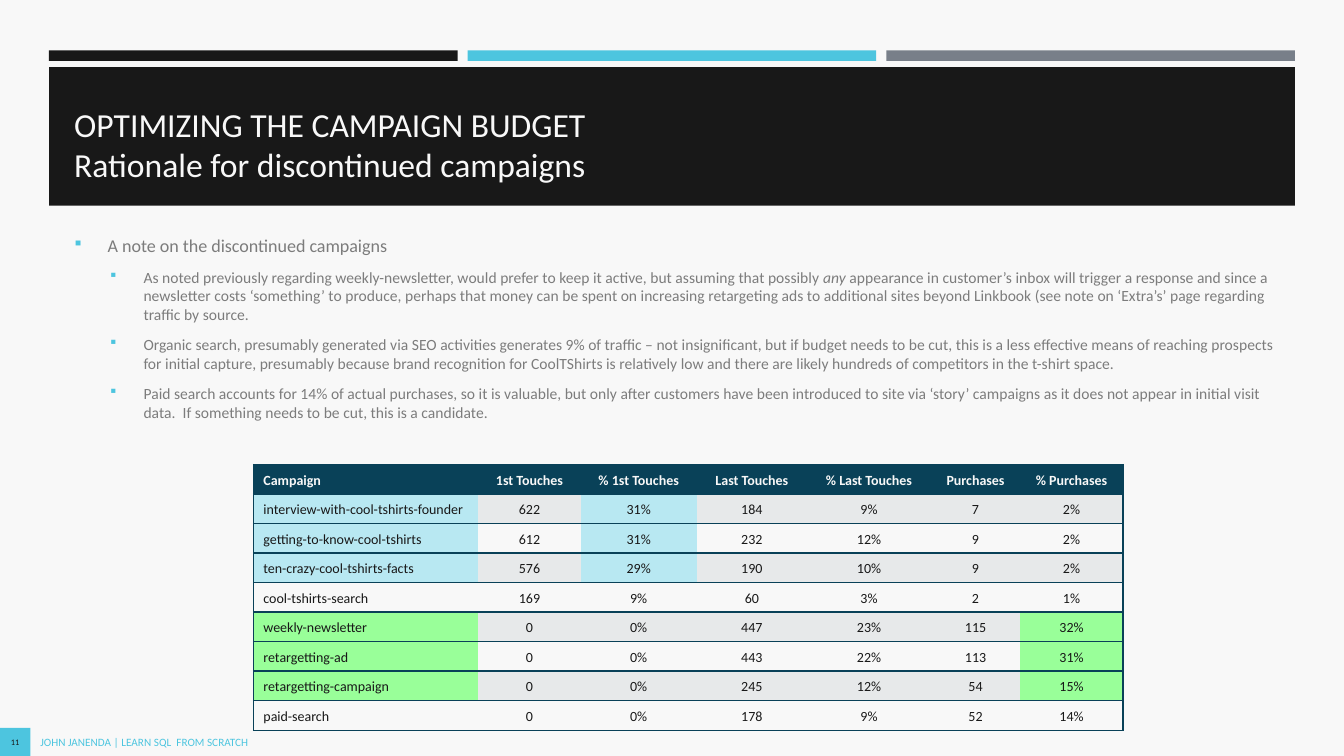
from lxml import etree
from pptx import Presentation
from pptx.dml.color import RGBColor
from pptx.enum.shapes import MSO_SHAPE
from pptx.enum.text import MSO_ANCHOR, MSO_AUTO_SIZE, PP_ALIGN
from pptx.oxml.ns import qn
from pptx.util import Pt

RECTANGLE = MSO_SHAPE.RECTANGLE
LEFT, CENTER = PP_ALIGN.LEFT, PP_ALIGN.CENTER
MIDDLE, BOTTOM = MSO_ANCHOR.MIDDLE, MSO_ANCHOR.BOTTOM
NO_AUTOFIT = MSO_AUTO_SIZE.NONE
TITLE_ONLY = 5
FONT = "Calibri"

COLORS = {
    "page": "F8F8F8", "black": "181818", "cyan": "4DC5DF", "slate": "787F89",
    "gray": "7C7C7C", "navy": "094158", "band": "E7E9EA",
    "first": "B8E8F2", "purchase": "99FF99",
}

TITLE_LINES = ["OPTIMIZING THE CAMPAIGN BUDGET", "Rationale for discontinued campaigns"]

# Each note: indent level, then its runs as (text, italic)
NOTES = [
    (0, [("A note on the discontinued campaigns", False)]),
    (1, [
        ("As noted previously regarding weekly-newsletter, would prefer to keep it active, "
         "but assuming that possibly ", False),
        ("any", True),
        (" appearance in customer’s inbox will trigger a response and since a newsletter "
         "costs ‘something’ to produce, perhaps that money can be spent on increasing "
         "retargeting ads to additional sites beyond Linkbook (see note on ‘Extra’s’ page "
         "regarding traffic by source.", False),
    ]),
    (1, [("Organic search, presumably generated via SEO activities generates 9% of traffic – "
          "not insignificant, but if budget needs to be cut, this is a less effective means of "
          "reaching prospects for initial capture, presumably because brand recognition for "
          "CoolTShirts is relatively low and there are likely hundreds of competitors in the "
          "t-shirt space.", False)]),
    (1, [("Paid search accounts for 14% of actual purchases, so it is valuable, but only after "
          "customers have been introduced to site via ‘story’ campaigns as it does not appear "
          "in initial visit data.  If something needs to be cut, this is a candidate.", False)]),
]
NOTE_SIZES = [12.9, 11.1]
NOTE_INDENTS = [23.9, 49.5]

CAMPAIGNS = [
    ["Campaign", "1st Touches", "% 1st Touches", "Last Touches", "% Last Touches",
     "Purchases", "% Purchases"],
    ["interview-with-cool-tshirts-founder", "622", "31%", "184", "9%", "7", "2%"],
    ["getting-to-know-cool-tshirts", "612", "31%", "232", "12%", "9", "2%"],
    ["ten-crazy-cool-tshirts-facts", "576", "29%", "190", "10%", "9", "2%"],
    ["cool-tshirts-search", "169", "9%", "60", "3%", "2", "1%"],
    ["weekly-newsletter", "0", "0%", "447", "23%", "115", "32%"],
    ["retargetting-ad", "0", "0%", "443", "22%", "113", "31%"],
    ["retargetting-campaign", "0", "0%", "245", "12%", "54", "15%"],
    ["paid-search", "0", "0%", "178", "9%", "52", "14%"],
]
COLUMN_WIDTHS = [160.7, 73, 83, 78.7, 88.7, 63.5, 73.6]
# Highlighted rows and columns
HIGHLIGHTS = [("first", (1, 2, 3), (0, 2)), ("purchase", (5, 6, 7), (0, 6))]


def rgb(name):
    return RGBColor.from_string(COLORS[name])


def add_run(paragraph, text, size, color, bold=False, italic=False):
    run = paragraph.add_run()
    run.text = text
    font = run.font
    font.name, font.size, font.bold, font.italic = FONT, Pt(size), bold, italic
    font.color.rgb = rgb(color)


def add_bar(slide, left, top, width, height, color):
    bar = slide.shapes.add_shape(RECTANGLE, Pt(left), Pt(top), Pt(width), Pt(height))
    bar.shadow.inherit = False
    bar.fill.solid()
    bar.fill.fore_color.rgb = rgb(color)
    bar.line.fill.background()
    return bar


def add_header(slide, left, top, width, height):
    # Three accent bars above the title band
    gap, bar_height, band_offset = 7.2, 7.5, 11.9
    bar_width = (width - 2 * gap) / 3
    for index, color in enumerate(["black", "cyan", "slate"]):
        add_bar(slide, left + index * (bar_width + gap), top, bar_width, bar_height, color)
    add_bar(slide, left, top + band_offset, width, height - band_offset, "black")

    # Title, raised above the band
    title = slide.shapes.title
    title.left, title.top = Pt(left + 10.8), Pt(top + 21.6)
    title.width, title.height = Pt(width - 21.6), Pt(77.8)
    slide.shapes._spTree.append(title._element)
    frame = title.text_frame
    frame.auto_size, frame.vertical_anchor, frame.word_wrap = NO_AUTOFIT, BOTTOM, True
    paragraph = frame.paragraphs[0]
    paragraph.alignment = LEFT
    add_run(paragraph, TITLE_LINES[0], 24, "page")
    paragraph.add_line_break()
    line_break = paragraph._p.find(qn("a:br"))
    etree.SubElement(line_break, qn("a:rPr"), sz="2400")
    add_run(paragraph, TITLE_LINES[1], 24, "page")


def add_bullet(paragraph, indent):
    properties = paragraph._p.get_or_add_pPr()
    properties.set("marL", str(Pt(indent)))
    properties.set("indent", str(-Pt(NOTE_INDENTS[0])))
    color = etree.SubElement(properties, qn("a:buClr"))
    etree.SubElement(color, qn("a:srgbClr"), val=COLORS["cyan"])
    etree.SubElement(properties, qn("a:buSzPct"), val="92000")
    etree.SubElement(properties, qn("a:buFont"), typeface="Wingdings")
    etree.SubElement(properties, qn("a:buChar"), char="§")


def add_notes_text(slide, left, top, width, height):
    frame = slide.shapes.add_textbox(Pt(left), Pt(top), Pt(width), Pt(height)).text_frame
    frame.word_wrap = True
    for index, (level, runs) in enumerate(NOTES):
        paragraph = frame.add_paragraph() if index else frame.paragraphs[0]
        size = NOTE_SIZES[level]
        paragraph.level = level
        paragraph.space_before, paragraph.space_after = Pt(size * 0.2), Pt(6)
        add_bullet(paragraph, NOTE_INDENTS[level])
        for text, italic in runs:
            add_run(paragraph, text, size, "gray", italic=italic)


def set_borders(cell, sides):
    properties = cell._tc.get_or_add_tcPr()
    for side in "LRTB":
        line = etree.SubElement(properties, qn(f"a:ln{side}"), w=str(Pt(1)))
        if side in sides:
            fill = etree.SubElement(line, qn("a:solidFill"))
            etree.SubElement(fill, qn("a:srgbClr"), val=COLORS["navy"])
        else:
            etree.SubElement(line, qn("a:noFill"))


def cell_color(row, column):
    if row == 0:
        return "navy"
    for color, rows, columns in HIGHLIGHTS:
        if row in rows and column in columns:
            return color
    return "band" if row % 2 else "page"


def add_campaign_table(slide, left, top, width, height):
    row_count, last = len(CAMPAIGNS), len(COLUMN_WIDTHS) - 1
    table = slide.shapes.add_table(row_count, last + 1, Pt(left), Pt(top),
                                   Pt(width), Pt(height)).table
    for column, column_width in zip(table.columns, COLUMN_WIDTHS):
        column.width = Pt(column_width)
    for row, values in enumerate(CAMPAIGNS):
        table.rows[row].height = Pt(height / row_count)
        for column, value in enumerate(values):
            cell = table.cell(row, column)
            set_borders(cell, "TB" + {0: "L", last: "R"}.get(column, ""))
            cell.fill.solid()
            cell.fill.fore_color.rgb = rgb(cell_color(row, column))
            cell.vertical_anchor = BOTTOM
            paragraph = cell.text_frame.paragraphs[0]
            paragraph.alignment = CENTER if column else LEFT
            add_run(paragraph, value, 10, "black" if row else "page", bold=row == 0)


def add_footer(slide, left, top, width, height):
    # Page number box, then the footer line beside it
    number_width = 21.7
    number = add_bar(slide, left, top, number_width, height, "cyan")
    footer = slide.shapes.add_textbox(Pt(left + number_width), Pt(top + 3.6),
                                      Pt(width - number_width), Pt(13))
    number.text_frame.margin_left = number.text_frame.margin_right = 0
    footer.text_frame.margin_top = footer.text_frame.margin_bottom = 0
    for shape, text, size, color, alignment in [
        (number, "11", 6, "black", CENTER),
        (footer, "JOHN JANENDA | LEARN SQL  FROM SCRATCH", 8, "cyan", LEFT),
    ]:
        frame = shape.text_frame
        frame.word_wrap, frame.vertical_anchor = True, MIDDLE
        frame.paragraphs[0].alignment = alignment
        add_run(frame.paragraphs[0], text, size, color)


def main():
    presentation = Presentation()
    presentation.slide_width, presentation.slide_height = Pt(960), Pt(540)
    slide = presentation.slides.add_slide(presentation.slide_layouts[TITLE_ONLY])
    slide.background.fill.solid()
    slide.background.fill.fore_color.rgb = rgb("page")
    add_header(slide, 35, 36, 890, 111)
    add_notes_text(slide, 46, 164, 873.4, 145.4)
    add_campaign_table(slide, 181, 331.7, sum(COLUMN_WIDTHS), 189.9)
    add_footer(slide, 0, 520, 566, 20)
    presentation.save("out.pptx")


if __name__ == "__main__":
    main()
